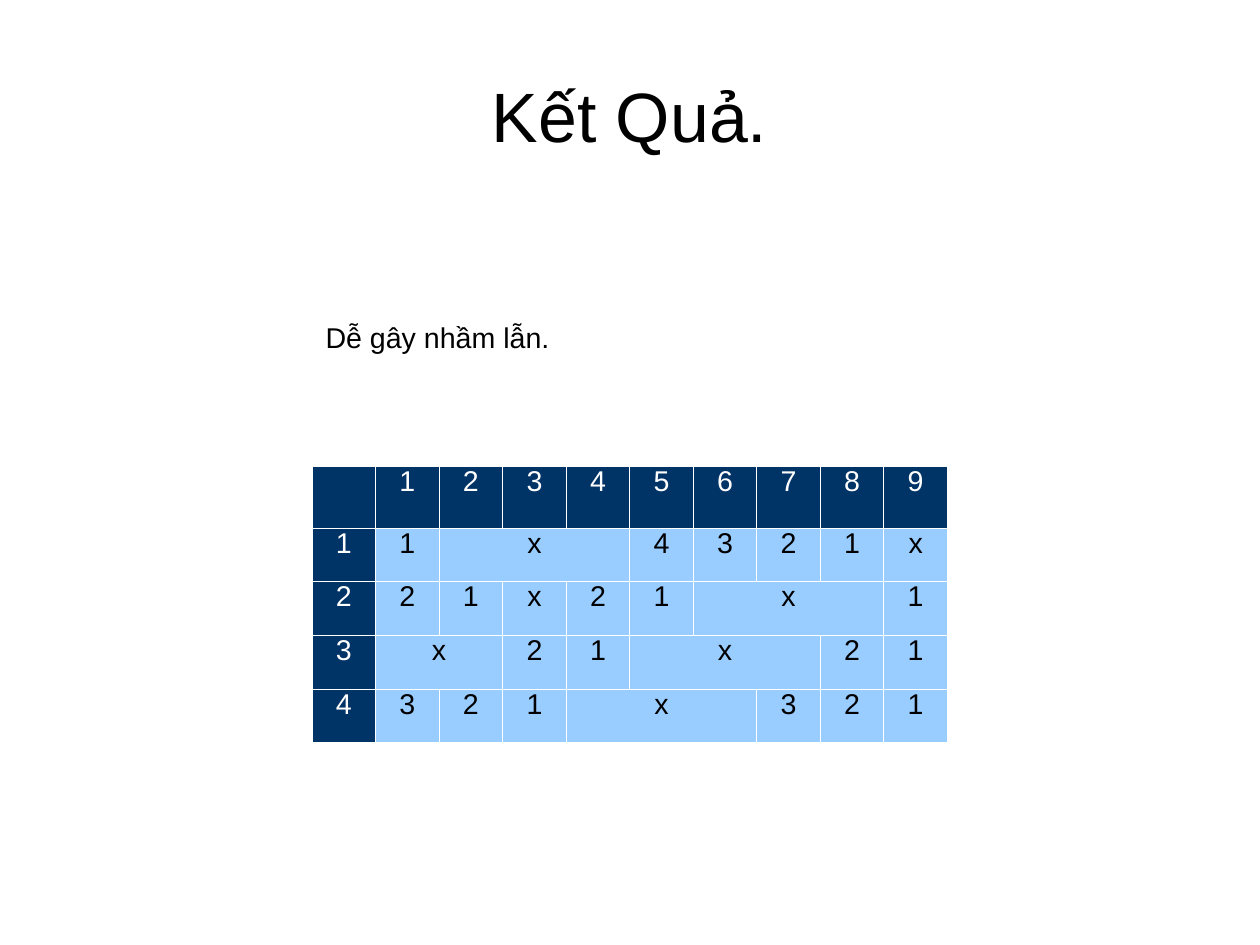
from pptx import Presentation
from pptx.dml.color import RGBColor
from pptx.enum.text import MSO_ANCHOR, PP_ALIGN
from pptx.oxml import parse_xml
from pptx.oxml.ns import nsdecls
from pptx.util import Inches, Pt

NAVY, SKY, WHITE, BLACK = "003366", "99CCFF", "FFFFFF", "000000"
CM_PER_INCH = 2.54


def color(value):
    return RGBColor.from_string(value)


def write(text_frame, text, size, text_color, alignment, line_spacing):
    text_frame.text = text
    paragraph = text_frame.paragraphs[0]
    paragraph.alignment = alignment
    paragraph.line_spacing = line_spacing
    for run in paragraph.runs:
        run.font.name = "Arial"
        run.font.size = Pt(size)
        run.font.color.rgb = color(text_color)


presentation = Presentation()
presentation.slide_width = Inches(28 / CM_PER_INCH)
presentation.slide_height = Inches(21 / CM_PER_INCH)
slide = presentation.slides.add_slide(presentation.slide_layouts[5])

title = slide.shapes.title
title.left, title.top = Inches(0.55), Inches(0.33)
title.width, title.height = Inches(9.92), Inches(1.38)
title_frame = title.text_frame
title_frame.margin_left = title_frame.margin_right = title_frame.margin_bottom = 0
title_frame.margin_top = Inches(0.04)
title_frame.vertical_anchor = MSO_ANCHOR.MIDDLE
write(title_frame, "Kết Quả.", 44, BLACK, PP_ALIGN.CENTER, 0.93)

rows = [
    ["", "1", "2", "3", "4", "5", "6", "7", "8", "9"],
    ["1", "1", "x", None, None, "4", "3", "2", "1", "x"],
    ["2", "2", "1", "x", "2", "1", "x", None, None, "1"],
    ["3", "x", None, "2", "1", "x", None, None, "2", "1"],
    ["4", "3", "2", "1", "x", None, None, "3", "2", "1"],
]
merges = [(1, 2, 4), (2, 6, 8), (3, 1, 2), (3, 5, 7), (4, 4, 6)]

table_width = 5.56
table = slide.shapes.add_table(
    len(rows), len(rows[0]), Inches(2.73), Inches(4.08), Inches(table_width), Inches(2.42)
).table
for column in table.columns:
    column.width = Inches(table_width / len(rows[0]))
for row_index, row in enumerate(table.rows):
    row.height = Inches(0.47 if row_index else 0.54)

for row_index, values in enumerate(rows):
    for column_index, value in enumerate(values):
        cell = table.cell(row_index, column_index)
        is_header = row_index == 0 or column_index == 0
        properties = cell._tc.get_or_add_tcPr()
        for side in ("lnL", "lnR", "lnT", "lnB"):
            properties.append(parse_xml(
                f'<a:{side} {nsdecls("a")} w="{Pt(0.57)}"><a:solidFill>'
                f'<a:srgbClr val="{WHITE}"/></a:solidFill></a:{side}>'
            ))
        cell.fill.solid()
        cell.fill.fore_color.rgb = color(NAVY if is_header else SKY)
        if value:
            write(cell.text_frame, value, 18, WHITE if is_header else BLACK, PP_ALIGN.CENTER, 0.76)

for row_index, first, last in merges:
    table.cell(row_index, first).merge(table.cell(row_index, last))

remark = slide.shapes.add_textbox(Inches(2.75), Inches(2.75), Inches(5.84), Inches(1.06))
remark.text_frame.word_wrap = True
write(remark.text_frame, "Dễ gây nhầm lẫn.", 18, BLACK, PP_ALIGN.LEFT, 1.0)

presentation.save("out.pptx")
